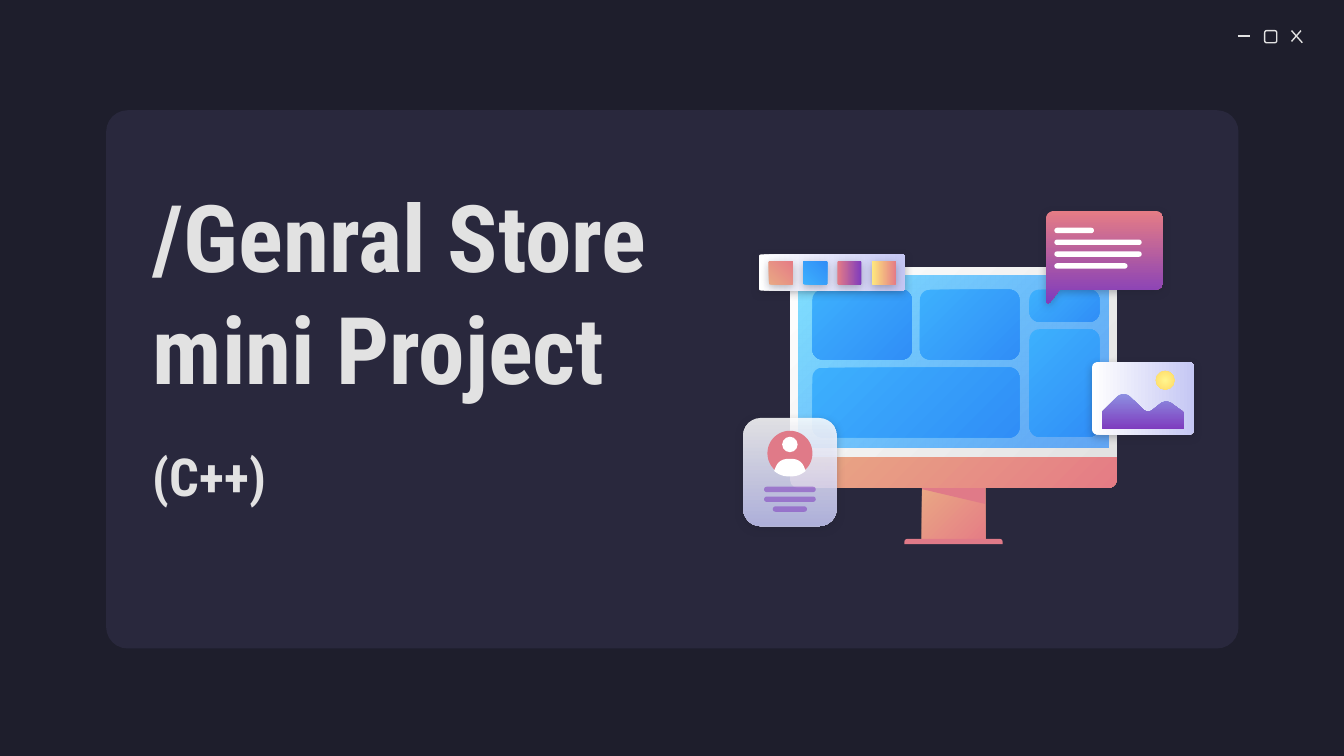
from dataclasses import dataclass

from lxml import etree
from pptx import Presentation
from pptx import util as u
from pptx.dml.color import RGBColor
from pptx.enum import shapes, text
from pptx.oxml import ns

COLUMNS, ROWS = 100, 56.25
CELL = u.Inches(0.1)
KIND = shapes.MSO_SHAPE


@dataclass(frozen=True)
class Paint:
    start: str
    end: str = ""
    angle: int = 0
    opacity: tuple = (100, 100)
    radial: bool = False


class Theme:
    font = "Roboto Condensed"
    title_size, subtitle_size, line_width = 50, 28, 0.75
    background, panel, light = "1E1E2C", "29283D", "E2E2E2"
    white, rose = Paint("FFFFFF"), Paint("E07A88")
    coral = Paint("E9A984", "E57C85", 45)
    frame = Paint("FFFFFF", "E2E2E2", 45)
    screen = Paint("80DFFF", "318FFA", 45, (100, 72))
    tile = Paint("3DB0FD", "308EF7", 45)
    bubble = Paint("E57C85", "7E3BBE", 90)
    card = Paint("FFFFFF", "C5C7F4", 90, (86, 86))
    paper = Paint("FFFFFF", "C5C7F4", 0)
    bar = Paint("7E3BBE", opacity=(54, 54))
    hills = Paint("8D90E1", "7E3BBE", 90)
    sun = Paint("FFF68E", "FFD966", radial=True)
    swatches = (
        Paint("E9A984", "E57C85", 315),
        Paint("3DB0FD", "308EF7", 315),
        Paint("E57C85", "7E3BBE", 0),
        Paint("FFEA7D", "E57C85", 0),
    )


def cells(count):
    return round(count * CELL)


def add_node(parent, tag, **attributes):
    node = etree.SubElement(parent, ns.qn(tag))
    for name, value in attributes.items():
        node.set(name, str(value))
    return node


def set_opacity(properties, opacity):
    for color, percent in zip(properties.iter(ns.qn("a:srgbClr")), opacity):
        if percent < 100:
            add_node(color, "a:alpha", val=percent * 1000)


def fill_shape(shape, paint):
    if not paint.end:
        shape.fill.solid()
        shape.fill.fore_color.rgb = RGBColor.from_string(paint.start)
    else:
        shape.fill.gradient()
        shape.fill.gradient_angle = (360 - paint.angle) % 360
        for stop, color in zip(shape.fill.gradient_stops, (paint.start, paint.end)):
            stop.color.rgb = RGBColor.from_string(color)
    properties = shape._element.spPr
    set_opacity(properties, paint.opacity)
    if paint.radial:
        linear = properties.find(".//" + ns.qn("a:lin"))
        gradient = linear.getparent()
        gradient.remove(linear)
        route = add_node(gradient, "a:path", path="circle")
        add_node(route, "a:fillToRect", l=50000, t=50000, r=50000, b=50000)


def finish_shape(shape, paint, shadow):
    shape.shadow.inherit = False
    shape.line.fill.background()
    fill_shape(shape, paint)
    if shadow:
        effects = shape._element.spPr.find(ns.qn("a:effectLst"))
        cast = add_node(effects, "a:outerShdw", blurRad=u.Pt(4.5), dist=u.Pt(1.5),
                        dir=5400000, algn="bl", rotWithShape=0)
        color = add_node(cast, "a:srgbClr", val=Theme.background)
        add_node(color, "a:alpha", val=30000)


class Region:
    def __init__(self, slide, left, top):
        self.shapes = slide.shapes.add_group_shape().shapes
        self.left, self.top = left, top

    def point(self, x, y):
        return cells(self.left + x), cells(self.top + y)

    def block(self, box, paint, kind=KIND.RECTANGLE, corners=(), shadow=False):
        x, y, width, height = box
        shape = self.shapes.add_shape(kind, *self.point(x, y), cells(width), cells(height))
        for index, radius in enumerate(corners):
            shape.adjustments[index] = radius / min(width, height)
        finish_shape(shape, paint, shadow)
        return shape

    def rounded(self, box, paint, radius, shadow=False):
        return self.block(box, paint, KIND.ROUNDED_RECTANGLE, (radius,), shadow)

    def outline(self, corners, paint, shadow=False):
        points = [self.point(x, y) for x, y in round_corners(corners)]
        builder = self.shapes.build_freeform(*points[0])
        builder.add_line_segments(points[1:], close=True)
        finish_shape(builder.convert_to_shape(), paint, shadow)

    def line(self, start, end):
        line = self.shapes.add_connector(
            shapes.MSO_CONNECTOR.STRAIGHT, *self.point(*start), *self.point(*end))
        line.line.color.rgb = RGBColor.from_string(Theme.light)
        line.line.width = u.Pt(Theme.line_width)
        add_node(line._element.spPr, "a:effectLst")


def round_corners(corners, steps=8):
    points = []
    for index, (x, y, radius) in enumerate(corners):
        if not radius:
            points.append((x, y))
            continue
        ends = []
        for other in (corners[index - 1], corners[(index + 1) % len(corners)]):
            dx, dy = other[0] - x, other[1] - y
            share = radius / (dx * dx + dy * dy) ** 0.5
            ends.append((x + dx * share, y + dy * share))
        for step in range(steps + 1):
            t = step / steps
            points.append(tuple(
                (1 - t) ** 2 * a + 2 * t * (1 - t) * b + t * t * c
                for a, b, c in zip(ends[0], (x, y), ends[1])))
    return points


def draw_window_controls(slide, left, top):
    region = Region(slide, left, top)
    region.line((0, 0.4), (0.9, 0.4))
    square = region.rounded((2, 0, 0.9, 0.9), Theme.white, 0.15)
    square.fill.background()
    square.line.color.rgb = RGBColor.from_string(Theme.light)
    square.line.width = u.Pt(Theme.line_width)
    region.line((4, 0), (4.8, 0.9))
    region.line((4.7, 0), (4, 0.8))


def draw_title(slide, left, top, width, height):
    frame = slide.shapes.add_textbox(*map(cells, (left, top, width, height))).text_frame
    frame.word_wrap = True
    frame.vertical_anchor = text.MSO_ANCHOR.MIDDLE
    frame.margin_top = frame.margin_bottom = cells(1)
    paragraph = frame.paragraphs[0]
    for content, size in (("/Genral Store mini Project", Theme.title_size),
                          ("(C++)", Theme.subtitle_size), (" ", Theme.title_size)):
        run = paragraph.add_run()
        run.text = content
        run.font.name, run.font.size, run.font.bold = Theme.font, u.Pt(size), True
        run.font.color.rgb = RGBColor.from_string(Theme.light)
        if content.startswith("/"):
            paragraph.add_line_break()


def draw_monitor(slide, left, top):
    region = Region(slide, left, top)
    top_rounded = KIND.ROUND_2_SAME_RECTANGLE
    region.block((9.8, 16.2, 4.7, 4.3), Theme.coral)
    region.block((8.5, 20.2, 7.3, 0.4), Theme.rose, top_rounded, (0.2, 0))
    region.outline(((9.8, 16.2, 0), (9.8, 16.5, 0), (14.5, 17.6, 0), (14.5, 16.2, 0)), Theme.rose)
    region.block((0, 14, 24.3, 2.4), Theme.coral, top_rounded, (0, 0.6))
    region.block((0, 0, 24.3, 14.1), Theme.frame, top_rounded, (0.6, 0))
    region.block((0.6, 0.6, 23.1, 12.8), Theme.screen)
    for box in ((1.65, 1.65, 7.4, 5.2), (1.65, 7.45, 15.4, 5.2), (9.65, 1.65, 7.4, 5.2),
                (17.8, 1.65, 5.2, 2.4), (17.8, 4.6, 5.2, 8)):
        region.rounded(box, Theme.tile, 0.75)


def draw_speech_bubble(slide, left, top):
    region = Region(slide, left, top)
    region.outline(((0, 0, 0.65), (8.7, 0, 0.65), (8.7, 5.85, 0.65), (1, 5.85, 0),
                    (0.2, 6.9, 0.2), (0, 6.8, 0.2)), Theme.bubble, shadow=True)
    for row, width in enumerate((2.95, 6.5, 6.5, 5.45)):
        region.rounded((0.6, 1.25 + row * 0.88, width, 0.4), Theme.white, 0.2)


def draw_profile_card(slide, left, top):
    region = Region(slide, left, top)
    region.rounded((0, 0, 6.95, 8.05), Theme.card, 1.3, shadow=True)
    region.block((1.8, 0.95, 3.35, 3.35), Theme.rose, KIND.OVAL)
    region.block((2.9, 1.4, 1.15, 1.15), Theme.white, KIND.OVAL)
    region.outline(((2.3, 3.95, 0), (2.65, 3.05, 0.7), (4.3, 3.05, 0.7),
                    (4.65, 3.95, 0), (4.1, 4.35, 0.5), (2.85, 4.35, 0.5)), Theme.white)
    for row, width in enumerate((3.85, 3.85, 2.55)):
        region.rounded(((6.95 - width) / 2, 5.12 + row * 0.73, width, 0.4), Theme.bar, 0.2)


def draw_picture_card(slide, left, top):
    region = Region(slide, left, top)
    region.rounded((0, 0, 7.6, 5.4), Theme.paper, 0.4, shadow=True)
    region.outline(((0.75, 3.7, 0.15), (2.35, 2.1, 0.7), (4.15, 3.85, 0.5), (5.5, 2.75, 0.6),
                    (6.85, 3.75, 0.15), (6.85, 5, 0.25), (0.75, 5, 0.25)), Theme.hills)
    region.block((4.75, 0.65, 1.4, 1.4), Theme.sun, KIND.OVAL)


def draw_palette(slide, left, top):
    region = Region(slide, left, top)
    region.rounded((0, 0, 10.9, 2.7), Theme.paper, 0.2, shadow=True)
    for column, paint in enumerate(Theme.swatches):
        region.rounded((0.75 + column * 2.55, 0.5, 1.8, 1.75), paint, 0.12, shadow=True)


def main():
    presentation = Presentation()
    presentation.slide_width, presentation.slide_height = cells(COLUMNS), cells(ROWS)
    slide = presentation.slides.add_slide(presentation.slide_layouts[6])
    slide.background.fill.solid()
    slide.background.fill.fore_color.rgb = RGBColor.from_string(Theme.background)
    Region(slide, 7.9, 8.2).rounded((0, 0, 84.25, 40.05), Paint(Theme.panel), 1.6)
    draw_window_controls(slide, 92.1, 2.28)
    draw_title(slide, 10.4, 17, 44.7, 17.6)
    draw_monitor(slide, 58.8, 19.9)
    draw_speech_bubble(slide, 77.85, 15.7)
    draw_profile_card(slide, 55.3, 31.1)
    draw_picture_card(slide, 81.25, 26.95)
    draw_palette(slide, 56.45, 18.93)
    presentation.save("out.pptx")


if __name__ == "__main__":
    main()
